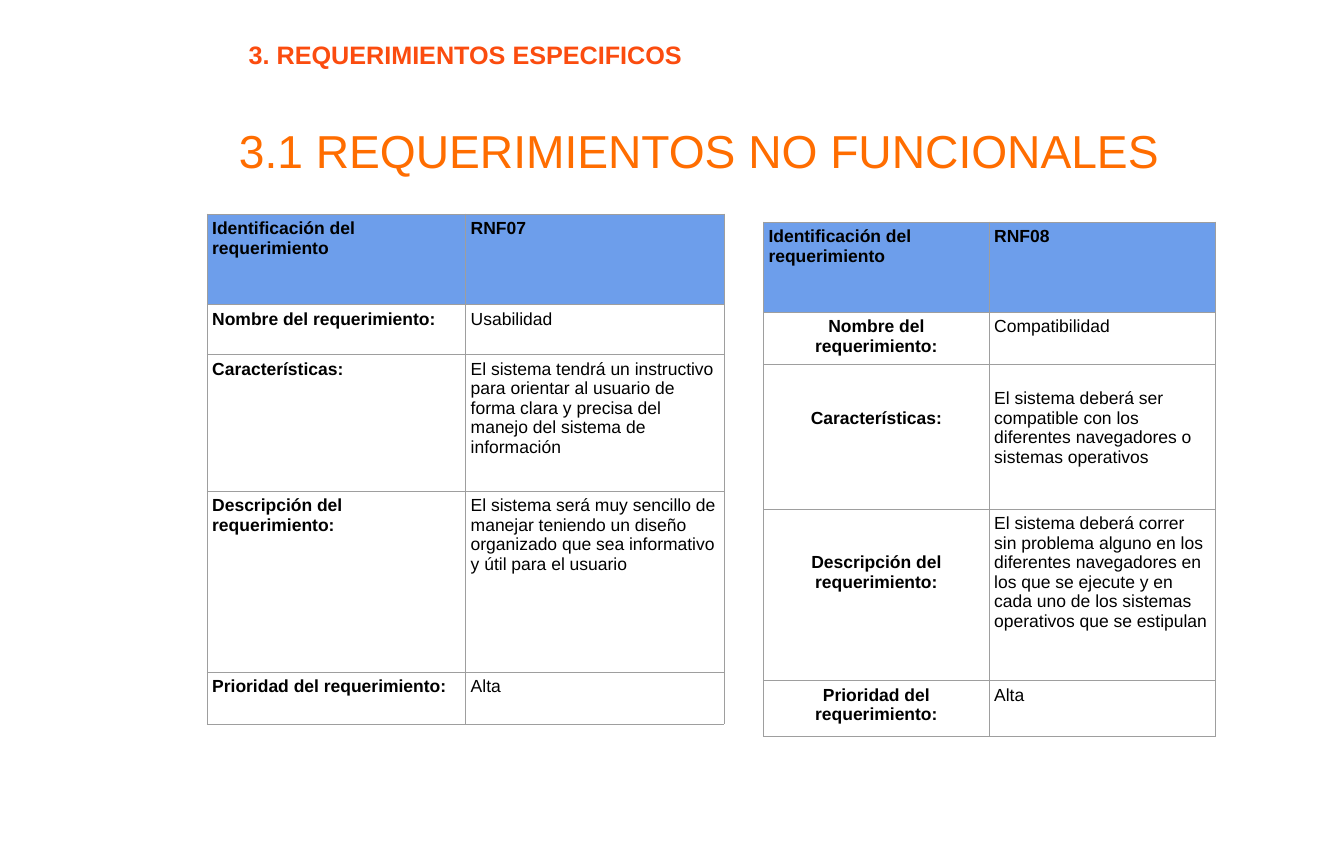
import pptx
import pptx.dml.color
import pptx.enum.text
import pptx.oxml
import pptx.oxml.ns
import pptx.util

Pt = pptx.util.Pt
ALIGN = pptx.enum.text.PP_ALIGN
MIDDLE = pptx.enum.text.MSO_ANCHOR.MIDDLE

FONT = "Arial"
BLACK = "000000"
GREY = "9E9E9E"
BLUE = "6D9EEB"
LINE = 28  # height of one text line in a table
INSET = 7.2

LABELS = [
    "Identificación del requerimiento",
    "Nombre del requerimiento:",
    "Características:",
    "Descripción del requerimiento:",
    "Prioridad del requerimiento:",
]
USABLE = [
    "RNF07",
    "Usabilidad",
    "El sistema tendrá un instructivo para orientar al usuario de forma clara "
    "y precisa del manejo del sistema de información",
    "El sistema será muy sencillo de manejar teniendo un diseño organizado "
    "que sea informativo y útil para el usuario",
    "Alta",
]
COMPAT = [
    "RNF08",
    "Compatibilidad",
    "El sistema deberá ser compatible con los diferentes navegadores o "
    "sistemas operativos",
    "El sistema deberá correr sin problema alguno en los diferentes "
    "navegadores en los que se ejecute y en cada uno de los sistemas "
    "operativos que se estipulan",
    "Alta",
]


def color(code):
    return pptx.dml.color.RGBColor.from_string(code)


def write(frame, text, size, code, bold=False, align=ALIGN.LEFT):
    frame.text = text
    para = frame.paragraphs[0]
    para.alignment = align
    font = para.runs[0].font
    font.name, font.size, font.bold = FONT, Pt(size), bold
    font.color.rgb = color(code)


def add_text(slide, box, text, size, code, **style):
    frame = slide.shapes.add_textbox(*map(Pt, box)).text_frame
    frame.word_wrap = True
    frame.vertical_anchor = MIDDLE
    frame.margin_left = frame.margin_right = Pt(6)
    frame.margin_top = frame.margin_bottom = Pt(6)
    write(frame, text, size, code, **style)


def add_edges(cell):
    props = cell._tc.get_or_add_tcPr()
    space = pptx.oxml.ns.nsdecls("a")
    for side in "LRTB":
        props.append(pptx.oxml.parse_xml(
            f'<a:ln{side} {space} w="{Pt(0.75)}"><a:solidFill>'
            f'<a:srgbClr val="{GREY}"/></a:solidFill></a:ln{side}>'))


def fill_cell(cell, text, head, bold, align, drop):
    """Format one cell; drop is the number of lines its text is lowered by."""
    add_edges(cell)
    if head:
        cell.fill.solid()
        cell.fill.fore_color.rgb = color(BLUE)
    else:
        cell.fill.background()
    cell.margin_left = cell.margin_right = cell.margin_bottom = Pt(INSET)
    cell.margin_top = Pt(INSET + drop * LINE)
    write(cell.text_frame, text, 25, BLACK, bold, align)


def add_grid(slide, left, top, width, heights, values, align, drops):
    """Add a requirement table; drops maps (row, column) to lowered lines."""
    table = slide.shapes.add_table(
        len(LABELS), 2, Pt(left), Pt(top), Pt(2 * width), Pt(sum(heights))).table
    table.first_row = table.horz_banding = False
    for col in table.columns:
        col.width = Pt(width)
    for row, pair in enumerate(zip(LABELS, values)):
        table.rows[row].height = Pt(heights[row])
        head = row == 0
        for col, text in enumerate(pair):
            label = col == 0
            fill_cell(table.cell(row, col), text, head, head or label,
                      align if label and not head else ALIGN.LEFT,
                      drops.get((row, col), 0))


def main():
    deck = pptx.Presentation()
    deck.slide_width, deck.slide_height = Pt(1920.24), Pt(1239.84)
    slide = deck.slides.add_slide(deck.slide_layouts[6])
    add_text(slide, (275, 169.2, 1448, 91.4),
             "3.1 REQUERIMIENTOS NO FUNCIONALES", 66, "FF6D00",
             align=ALIGN.CENTER)
    add_text(slide, (349.2, 49.7, 658.8, 54.7),
             "3. REQUERIMIENTOS ESPECIFICOS", 36, "FB4C0F", bold=True)
    add_grid(slide, 296, 305.5, 369.4, [129, 72, 195, 258.5, 74],
             USABLE, ALIGN.LEFT, {})
    add_grid(slide, 1090.8, 316.8, 322.5, [129, 67.7, 206.6, 245.5, 80],
             COMPAT, ALIGN.CENTER, {(2, 0): 2, (2, 1): 1, (3, 0): 2})
    deck.save("out.pptx")


if __name__ == "__main__":
    main()
